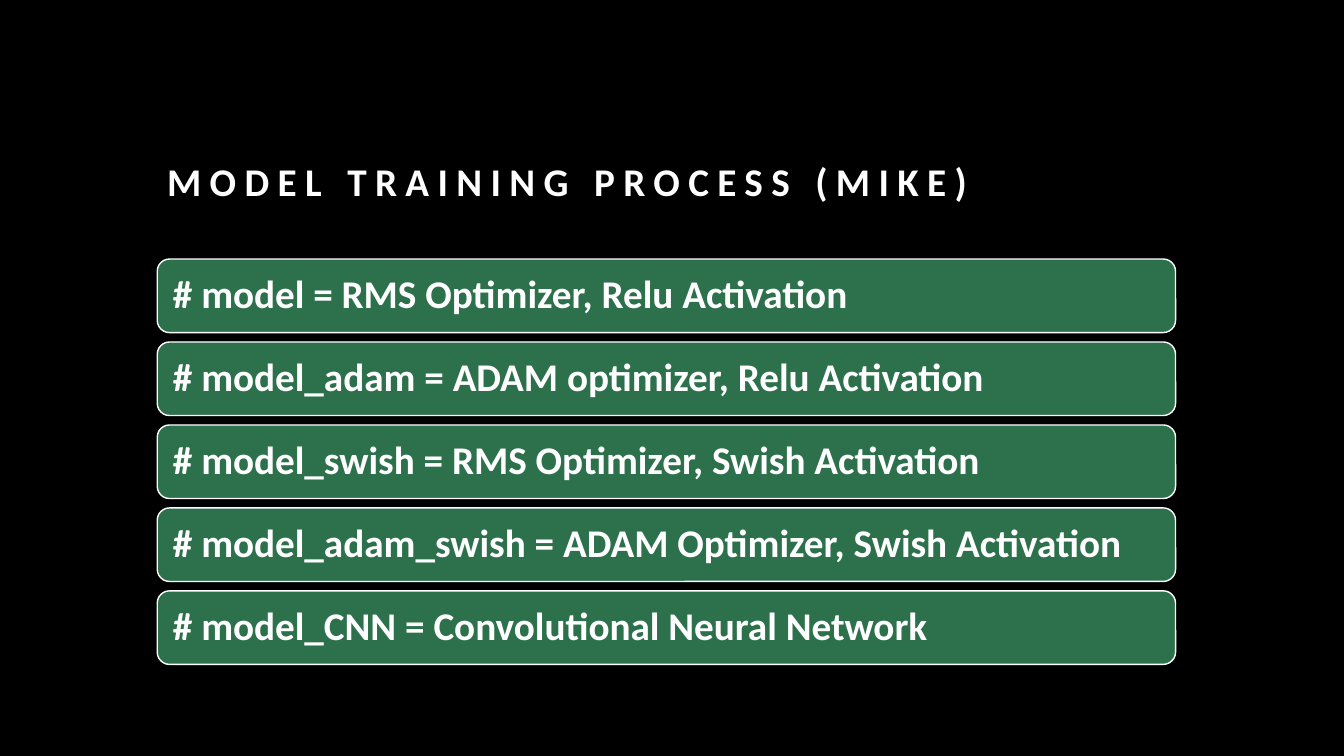
import pptx
import pptx.util
import pptx.dml.color
import pptx.enum.shapes
import pptx.enum.text

RGBColor = pptx.dml.color.RGBColor
BLACK = RGBColor(0x00, 0x00, 0x00)
WHITE = RGBColor(0xFF, 0xFF, 0xFF)
GREEN = RGBColor(0x2D, 0x71, 0x4C)

WIDTH = pptx.util.Inches(13.33)
HEIGHT = pptx.util.Inches(7.5)
LEFT = pptx.util.Inches(1.56)
CONTENT_WIDTH = pptx.util.Inches(10.1)
FIRST_ROW = pptx.util.Inches(2.57)
ROW_PITCH = pptx.util.Inches(0.823)
ROW_HEIGHT = pptx.util.Inches(0.73)

MODELS = [
    "# model = RMS Optimizer, Relu Activation",
    "# model_adam = ADAM optimizer, Relu Activation",
    "# model_swish = RMS Optimizer, Swish Activation",
    "# model_adam_swish = ADAM Optimizer, Swish Activation",
    "# model_CNN = Convolutional Neural Network",
]


def write_text(sp, text, anchor, line_spacing):
    tf = sp.text_frame
    tf.word_wrap = True
    tf.vertical_anchor = anchor
    p = tf.paragraphs[0]
    p.alignment = pptx.enum.text.PP_ALIGN.LEFT
    p.line_spacing = line_spacing
    r = p.add_run()
    r.text = text
    p.font.name = "Calibri"
    p.font.size = pptx.util.Pt(28)
    p.font.bold = True
    p.font.color.rgb = WHITE
    return r


def add_title(s, text):
    sp = s.shapes.add_textbox(LEFT, pptx.util.Inches(1.14),
                              CONTENT_WIDTH, pptx.util.Inches(0.94))
    r = write_text(sp, text, pptx.enum.text.MSO_ANCHOR.BOTTOM, 1.2)
    r._r.get_or_add_rPr().set("spc", "600")


def add_model_bar(s, row, text):
    sp = s.shapes.add_shape(pptx.enum.shapes.MSO_SHAPE.ROUNDED_RECTANGLE,
                            LEFT, FIRST_ROW + row * ROW_PITCH,
                            CONTENT_WIDTH, ROW_HEIGHT)
    sp.shadow.inherit = False
    sp.fill.solid()
    sp.fill.fore_color.rgb = GREEN
    sp.line.color.rgb = WHITE
    sp.line.width = pptx.util.Pt(1)
    write_text(sp, text, pptx.enum.text.MSO_ANCHOR.MIDDLE, 0.9)
    tf = sp.text_frame
    tf.margin_left = tf.margin_right = pptx.util.Inches(0.12)


def main():
    prs = pptx.Presentation()
    prs.slide_width = WIDTH
    prs.slide_height = HEIGHT
    s = prs.slides.add_slide(prs.slide_layouts[6])
    s.background.fill.solid()
    s.background.fill.fore_color.rgb = BLACK
    add_title(s, "MODEL TRAINING PROCESS (MIKE)")
    for row, text in enumerate(MODELS):
        add_model_bar(s, row, text)
    prs.save("out.pptx")


if __name__ == "__main__":
    main()
